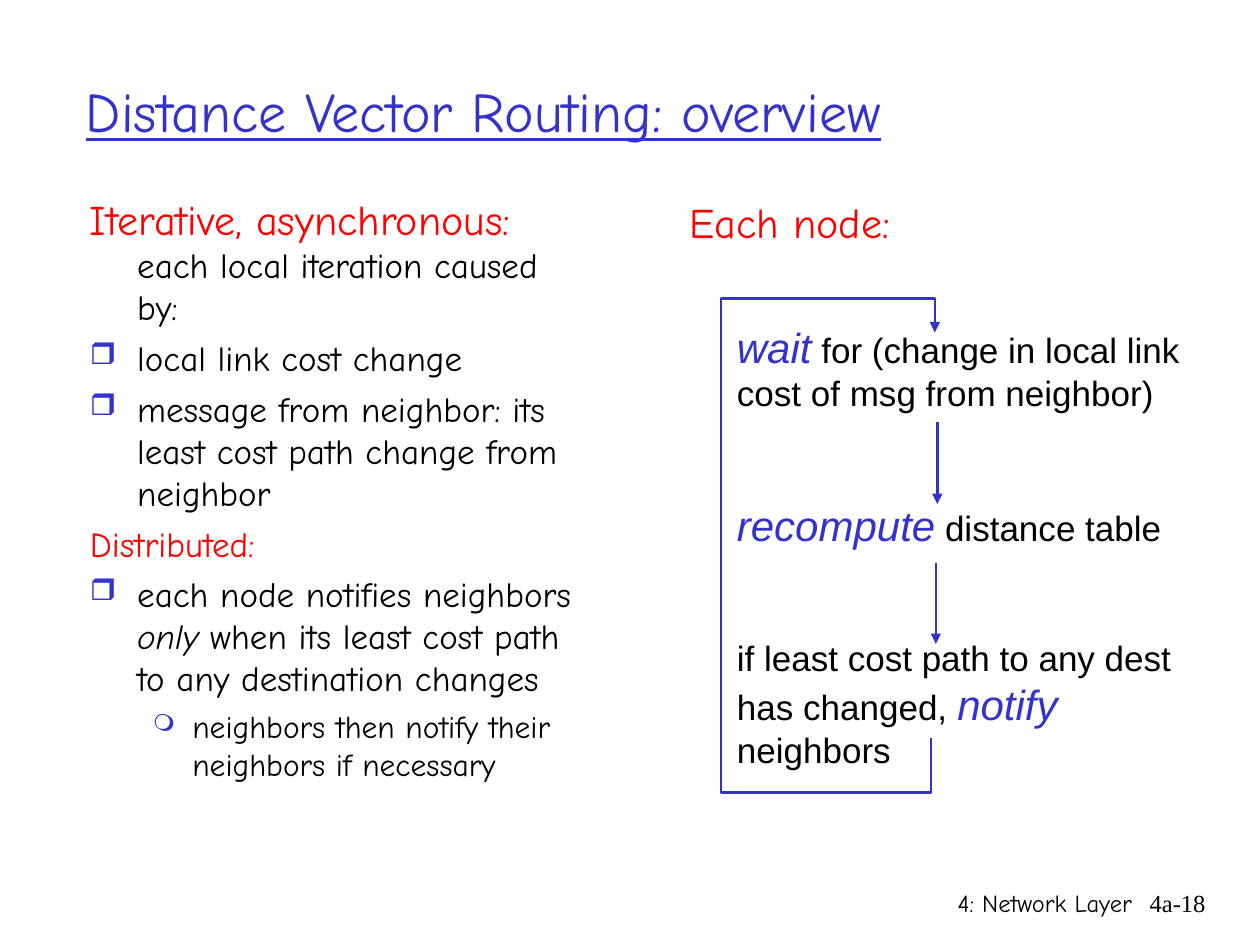
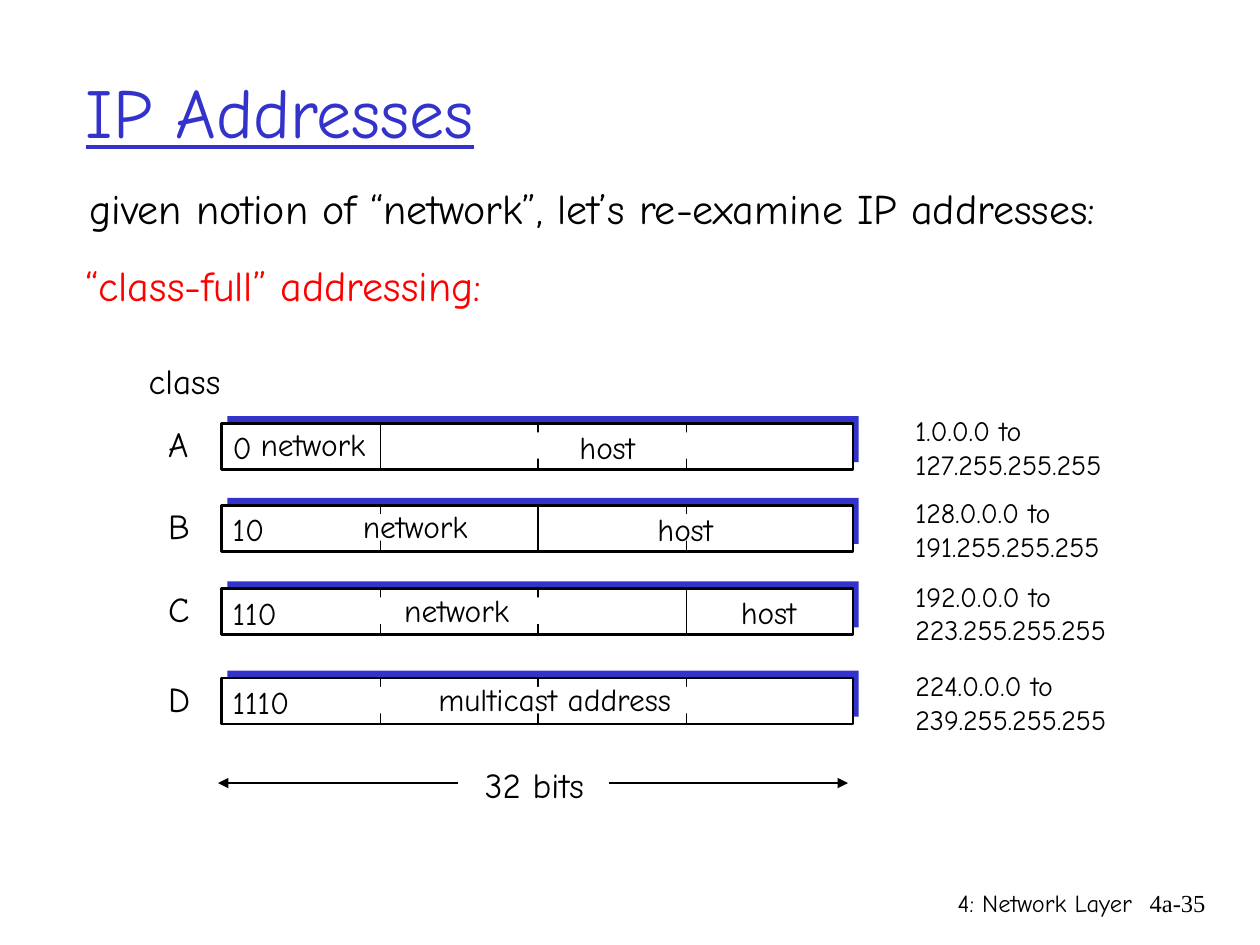
from dataclasses import dataclass

from lxml.etree import SubElement
from pptx import Presentation
from pptx.dml.color import RGBColor
from pptx.enum.shapes import MSO_CONNECTOR as Connector, MSO_SHAPE as Shape
from pptx.enum.text import MSO_ANCHOR as Anchor, PP_ALIGN as Align
from pptx.oxml.ns import qn
from pptx.util import Pt


@dataclass(frozen=True)
class Theme:
    blue: str = "3333CC"
    red: str = "FF0000"
    black: str = "000000"
    white: str = "FFFFFF"
    hand: str = "Comic Neue"
    sans: str = "Arial"
    serif: str = "Times New Roman"
    heading: int = 24
    body: int = 20
    detail: int = 18
    range: int = 16
    footer: int = 14
    line: float = 1.5
    hairline: float = 0.75


THEME = Theme()

# Content: a run is plain text or (text, style changes)
FOOTER = "4: Network Layer"
RED = dict(color=THEME.red)
RED_HEADING = dict(color=THEME.red, size=THEME.heading)
KEYWORD = dict(color=THEME.blue, size=THEME.heading, italic=True)

ROUTING = dict(title="Distance Vector Routing: overview", size=32, page="4a-18")
OVERVIEW = [  # kind, runs
    ("plain", [("Iterative, asynchronous: ", RED_HEADING), "each local iteration caused by:"]),
    ("bullet", ["local link cost change"]),
    ("bullet", ["message from neighbor: its least cost path change from neighbor"]),
    ("plain", [("Distributed:", RED)]),
    ("bullet", ["each node notifies neighbors ", ("only", dict(italic=True)),
                " when its least cost path to any destination changes"]),
    ("sub", ["neighbors then notify their neighbors if necessary"]),
]
NODE_STEPS = [  # top, height, runs
    (180, 58, [("wait", KEYWORD), " for (change in local link cost of msg from neighbor)"]),
    (282, 35, [("recompute", KEYWORD), " distance table"]),
    (360, 82, ["if least cost path to any dest has changed, ", ("notify", KEYWORD), " neighbors"]),
]
STEP_ARROWS = [(535.6, 241.2, 288), (534.8, 321.8, 368)]  # x, top, bottom
LOOP_BACK = [(532, 422), (532, 453), (412, 453), (412, 170.5), (534.2, 170.5), (534.2, 190)]

ADDRESSES = dict(title="IP Addresses", size=40, page="4a-35")
INTRO = "given notion of “network”, let’s re-examine IP addresses:"
SCHEME = "“class-full” addressing:"
NETWORK, HOST, MULTICAST = ("network", 90, -2.5), ("host", 60, -1), ("multicast address", 165, -2.5)
CLASSES = [  # letter, bar top, prefix, (field, left), boundary index, range
    ("A", 242, "0", [(NETWORK, 141.8), (HOST, 324)], 0, ("1.0.0.0 to", "127.255.255.255")),
    ("B", 288.8, "10", [(NETWORK, 200.2), (HOST, 368.6)], 1, ("128.0.0.0 to", "191.255.255.255")),
    ("C", 336.4, "110", [(NETWORK, 223.9), (HOST, 416.2)], 2, ("192.0.0.0 to", "223.255.255.255")),
    ("D", 387.5, "1110", [(MULTICAST, 243.4)], None, ("224.0.0.0 to", "239.255.255.255")),
]
BAR_LEFT, BAR_WIDTH, BAR_HEIGHT = 126.7, 360.7, 26.3
OCTET_EDGES = [217.4, 307.4, 392.2]
SHADOW_OFFSET = (3.2, -4.2)

# Paragraph kinds: left margin, first-line indent, space before, bullet, bullet size
KINDS = {
    "plain": (27, -27, 5, None, None),
    "bullet": (27, -27, 5, "❒", 85),
    "sub": (58.5, -22.5, 4.5, "❍", 75),
}


def points(*lengths):
    return [Pt(length) for length in lengths]


def style_font(font, name=None, size=None, color=None, italic=None, underline=None):
    if name:
        font.name = name
    if size:
        font.size = Pt(size)
    if color:
        font.color.rgb = RGBColor.from_string(color)
    if italic is not None:
        font.italic = italic
    if underline is not None:
        font.underline = underline


def set_kind(paragraph, kind, first):
    margin, indent, before, bullet, bullet_size = KINDS[kind]
    properties = paragraph._p.get_or_add_pPr()
    properties.set("marL", str(Pt(margin)))
    properties.set("indent", str(Pt(indent)))
    if bullet:
        color = SubElement(properties, qn("a:buClr"))
        SubElement(color, qn("a:srgbClr"), val=THEME.blue)
        SubElement(properties, qn("a:buSzPct"), val=str(bullet_size * 1000))
        SubElement(properties, qn("a:buChar"), char=bullet)
    if not first:
        paragraph.space_before = Pt(before)


def add_runs(paragraph, runs, **base):
    style_font(paragraph.font, **base)
    for item in runs:
        text, changes = (item, {}) if isinstance(item, str) else item
        run = paragraph.add_run()
        run.text = text
        style_font(run.font, **changes)


def add_text(slide, box, paragraphs, name=THEME.hand, size=THEME.body, color=THEME.black,
             align=Align.LEFT, anchor=Anchor.TOP, underline=None):
    """paragraphs: a string, or a list of (kind or None, runs)."""
    frame = slide.shapes.add_textbox(*points(*box)).text_frame
    frame.word_wrap = True
    frame.vertical_anchor = anchor
    if isinstance(paragraphs, str):
        paragraphs = [(None, [paragraphs])]
    for index, (kind, runs) in enumerate(paragraphs):
        paragraph = frame.add_paragraph() if index else frame.paragraphs[0]
        if kind:
            set_kind(paragraph, kind, first=index == 0)
        paragraph.alignment = align
        kind_size = THEME.detail if kind == "sub" else size
        add_runs(paragraph, runs, name=name, size=kind_size, color=color, underline=underline)


def style_line(shape, color, width, arrow=False):
    shape.line.color.rgb = RGBColor.from_string(color)
    shape.line.width = Pt(width)
    if arrow:
        SubElement(shape.line._get_or_add_ln(), qn("a:tailEnd"), type="triangle")


def add_line(slide, start, end, color=THEME.black, width=THEME.line, arrow=False):
    line = slide.shapes.add_connector(Connector.STRAIGHT, *points(*start, *end))
    style_line(line, color, width, arrow)
    SubElement(line._element.spPr, qn("a:effectLst"))


def add_box(slide, box, fill, outlined=False):
    shape = slide.shapes.add_shape(Shape.RECTANGLE, *points(*box))
    shape.shadow.inherit = False
    shape.fill.solid()
    shape.fill.fore_color.rgb = RGBColor.from_string(fill)
    if outlined:
        style_line(shape, THEME.black, THEME.line)
    else:
        shape.line.fill.background()


def add_slide(presentation, title, size, page):
    slide = presentation.slides.add_slide(presentation.slide_layouts[6])
    add_text(slide, (426, 504, 228, 36), FOOTER, size=THEME.footer, align=Align.RIGHT)
    add_text(slide, (643, 504, 53, 36), page, name=THEME.serif, size=THEME.footer, align=Align.RIGHT)
    add_text(slide, (42, 18, 612, 90), title, size=size, color=THEME.blue,
             anchor=Anchor.MIDDLE, underline=True)
    return slide


def build_routing(presentation):
    slide = add_slide(presentation, **ROUTING)
    add_text(slide, (44.3, 107, 298, 366), OVERVIEW)

    # Loop of steps that each node runs
    add_text(slide, (387, 108.7, 140, 36), "Each node:", size=THEME.heading, color=THEME.red)
    for top, height, runs in NODE_STEPS:
        add_text(slide, (414, top, 277.2, height), [(None, runs)], name=THEME.sans)
    for x, top, bottom in STEP_ARROWS:
        add_line(slide, (x, top), (x, bottom), THEME.blue, arrow=True)
    start, *corners = [points(*corner) for corner in LOOP_BACK]
    builder = slide.shapes.build_freeform(*start)
    builder.add_line_segments(corners, close=False)
    loop = builder.convert_to_shape()
    loop.shadow.inherit = False
    loop.fill.background()
    style_line(loop, THEME.blue, THEME.line, arrow=True)


def add_class_row(slide, letter, top, prefix, fields, boundary, address_range):
    # Bar with its offset shadow
    right, down = SHADOW_OFFSET
    add_box(slide, (BAR_LEFT + right, top + down, BAR_WIDTH, BAR_HEIGHT), THEME.blue)
    add_box(slide, (BAR_LEFT, top, BAR_WIDTH, BAR_HEIGHT), THEME.white, outlined=True)

    # Octet edges: whole at the field boundary, elsewhere only the ends show
    for index, x in enumerate(OCTET_EDGES):
        add_line(slide, (x, top), (x, top + 27), width=THEME.hairline)
        if index != boundary:
            add_box(slide, (x - 4, top + 5, 7.2, 15.1), THEME.white)

    # Labels
    add_text(slide, (BAR_LEFT - 0.8, top - 0.7, 60, 29), prefix, size=THEME.detail)
    for (text, width, shift), left in fields:
        add_text(slide, (left, top + shift, width, 29), text, size=THEME.detail)
    add_text(slide, (89, top - 4, 36, 31.7), letter)
    add_text(slide, (516, top - 9, 150, 46), [(None, [line]) for line in address_range],
             size=THEME.range)


def build_addresses(presentation):
    slide = add_slide(presentation, **ADDRESSES)
    add_text(slide, (44, 100.8, 653, 39.6), [("plain", [INTRO])], size=THEME.heading)
    add_text(slide, (41.8, 144.7, 328, 36), SCHEME, size=THEME.heading, color=THEME.red)
    add_text(slide, (77.8, 202, 70, 31.7), "class")
    for row in CLASSES:
        add_class_row(slide, *row)

    # Width of an address
    add_text(slide, (270, 433, 90, 31.7), "32 bits")
    for start, end in [(262, 124.6), (347.8, 484.6)]:
        add_line(slide, (start, 447.5), (end, 447.5), arrow=True)


def main():
    presentation = Presentation()
    presentation.slide_width, presentation.slide_height = points(720, 540)
    build_routing(presentation)
    build_addresses(presentation)
    presentation.save("out.pptx")


if __name__ == "__main__":
    main()
